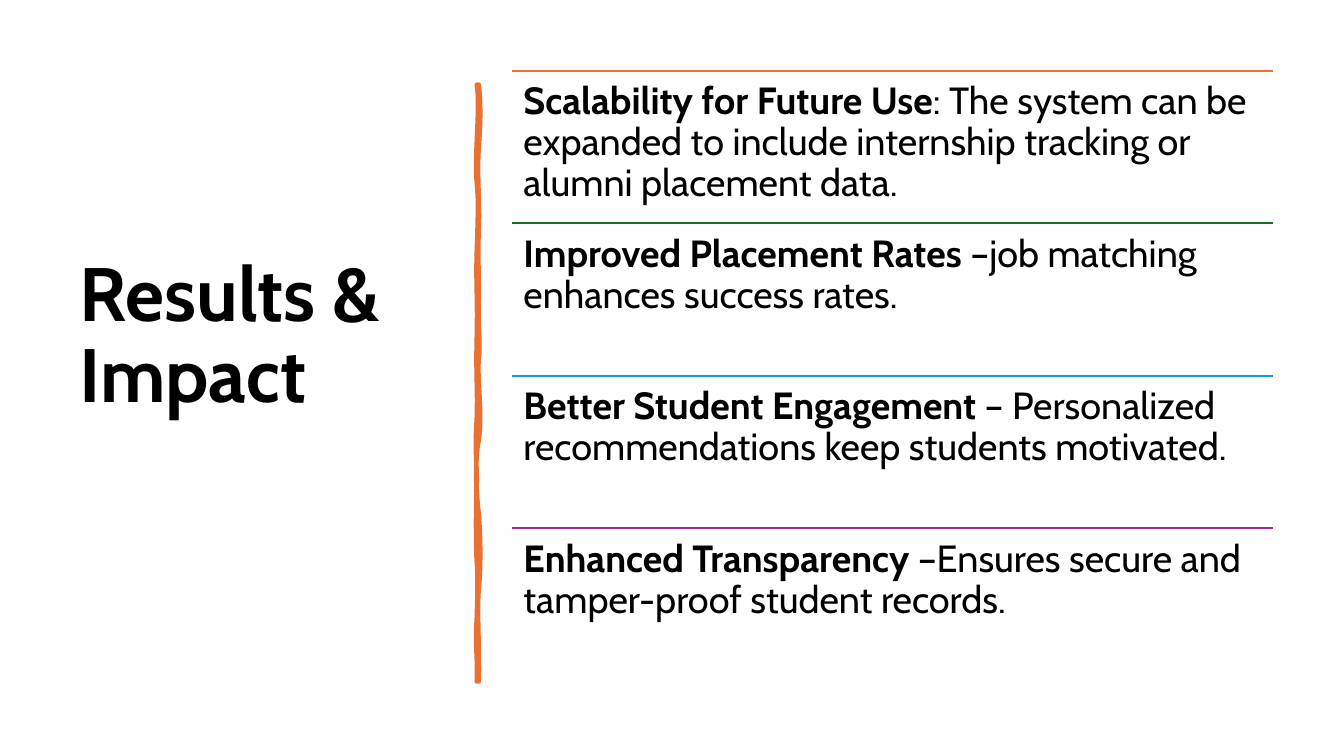
from lxml import etree
from pptx import Presentation
from pptx.dml.color import RGBColor
from pptx.enum import shapes, text
from pptx.oxml import ns
from pptx.util import Pt

RESULTS = [
    ("Scalability for Future Use",
     ": The system can be expanded to include internship tracking or alumni placement data.",
     "E97132"),
    ("Improved Placement Rates", " –job matching enhances success rates.", "196B24"),
    ("Better Student Engagement",
     " – Personalized recommendations keep students motivated.", "0F9ED5"),
    ("Enhanced Transparency",
     " –Ensures secure and tamper-proof student records.", "A02B93"),
]
RESULTS_LEFT, RESULTS_TOP, RESULTS_WIDTH, RESULT_HEIGHT = 365.8, 50.4, 543.6, 109

# Edges of the brush stroke in inches: a start, then three points per Bézier curve.
RIGHT_EDGE = [
    (4.75, 0.84), (4.77, 1.02), (4.77, 1.19), (4.75, 1.46),
    (4.73, 1.73), (4.76, 1.95), (4.75, 2.26), (4.74, 2.57), (4.75, 2.62), (4.75, 2.94),
    (4.74, 3.25), (4.77, 3.42), (4.75, 3.56), (4.73, 3.7), (4.79, 4.14), (4.75, 4.36),
    (4.71, 4.57), (4.72, 4.84), (4.75, 5.1), (4.77, 5.36), (4.77, 5.64), (4.75, 5.84),
    (4.73, 6.03), (4.76, 6.5), (4.75, 6.76),
]
LEFT_EDGE = [
    (4.73, 6.76), (4.74, 6.46), (4.71, 6.44), (4.73, 6.13),
    (4.74, 5.83), (4.74, 5.7), (4.73, 5.57), (4.72, 5.44), (4.72, 4.95), (4.73, 4.77),
    (4.73, 4.59), (4.71, 4.45), (4.73, 4.15), (4.74, 3.86), (4.72, 3.73), (4.73, 3.35),
    (4.74, 2.98), (4.72, 2.81), (4.73, 2.5), (4.74, 2.18), (4.75, 2), (4.73, 1.81),
    (4.7, 1.63), (4.77, 1.04), (4.73, 0.84),
]


def color(hex_code):
    return RGBColor.from_string(hex_code)


def curve_points(edge, steps=8):
    """Sample the Bézier curves of an edge, giving points in pt."""
    points = [tuple(72 * value for value in edge[0])]
    for first in range(0, len(edge) - 1, 3):
        controls = edge[first:first + 4]
        for step in range(1, steps + 1):
            t = step / steps
            weights = ((1 - t) ** 3, 3 * t * (1 - t) ** 2, 3 * t ** 2 * (1 - t), t ** 3)
            points.append(tuple(
                72 * sum(weight * point[axis] for weight, point in zip(weights, controls))
                for axis in (0, 1)))
    return points


class SlideBuilder:
    def __init__(self, slide, font="Cabin", text_color="000000"):
        self.slide = slide
        self.font = font
        self.text_color = text_color

    def fill_text(self, frame, *runs, size, anchor, insets):
        """Fill a frame with (text, bold) runs; insets are left, top, right, bottom."""
        frame.word_wrap = True
        frame.auto_size = text.MSO_AUTO_SIZE.NONE
        frame.vertical_anchor = anchor
        (frame.margin_left, frame.margin_top,
         frame.margin_right, frame.margin_bottom) = map(Pt, insets)
        paragraph = frame.paragraphs[0]
        paragraph.alignment = text.PP_ALIGN.LEFT
        paragraph.line_spacing = 0.9
        for words, bold in runs:
            run = paragraph.add_run()
            run.text = words
            run.font.name = self.font
            run.font.size = Pt(size)
            run.font.bold = bold
            run.font.color.rgb = color(self.text_color)

    def title(self, words, left, top, width, height, **style):
        shape = self.slide.shapes.title
        shape.left, shape.top, shape.width, shape.height = map(
            Pt, (left, top, width, height))
        self.fill_text(shape.text_frame, (words, True), **style)

    def text_box(self, left, top, width, height, *runs, **style):
        shape = self.slide.shapes.add_textbox(*map(Pt, (left, top, width, height)))
        self.fill_text(shape.text_frame, *runs, **style)

    def rule(self, left, top, width, line_color):
        line = self.slide.shapes.add_connector(
            shapes.MSO_CONNECTOR.STRAIGHT, Pt(left), Pt(top), Pt(left + width), Pt(top))
        line.line.color.rgb = color(line_color)
        line.line.width = Pt(1.5)
        etree.SubElement(line._element.spPr, ns.qn("a:effectLst"))

    def brush_stroke(self, points, stroke_color):
        outline = [(Pt(x), Pt(y)) for x, y in points]
        builder = self.slide.shapes.build_freeform(*outline[0])
        builder.add_line_segments(outline[1:], close=True)
        shape = builder.convert_to_shape()
        shape.shadow.inherit = False
        shape.fill.solid()
        shape.fill.fore_color.rgb = color(stroke_color)
        shape.line.color.rgb = color(stroke_color)
        shape.line.width = Pt(3.25)


def main():
    presentation = Presentation()
    presentation.slide_width, presentation.slide_height = Pt(960), Pt(540)
    builder = SlideBuilder(presentation.slides.add_slide(presentation.slide_layouts[5]))

    # The deep bottom inset lifts the title by half a line.
    builder.title("Results & Impact", 49.7, 50.4, 269.3, 440, size=54,
                  anchor=text.MSO_ANCHOR.MIDDLE, insets=(7.2, 3.6, 7.2, 62.2))
    builder.brush_stroke(curve_points(RIGHT_EDGE) + curve_points(LEFT_EDGE), "E97132")
    for index, (heading, detail, line_color) in enumerate(RESULTS):
        top = RESULTS_TOP + index * RESULT_HEIGHT
        builder.rule(RESULTS_LEFT, top, RESULTS_WIDTH, line_color)
        builder.text_box(RESULTS_LEFT, top, RESULTS_WIDTH, RESULT_HEIGHT,
                         (heading, True), (detail, False), size=27,
                         anchor=text.MSO_ANCHOR.TOP, insets=(8.1, 8.1, 8.1, 8.1))
    presentation.save("out.pptx")


if __name__ == "__main__":
    main()
